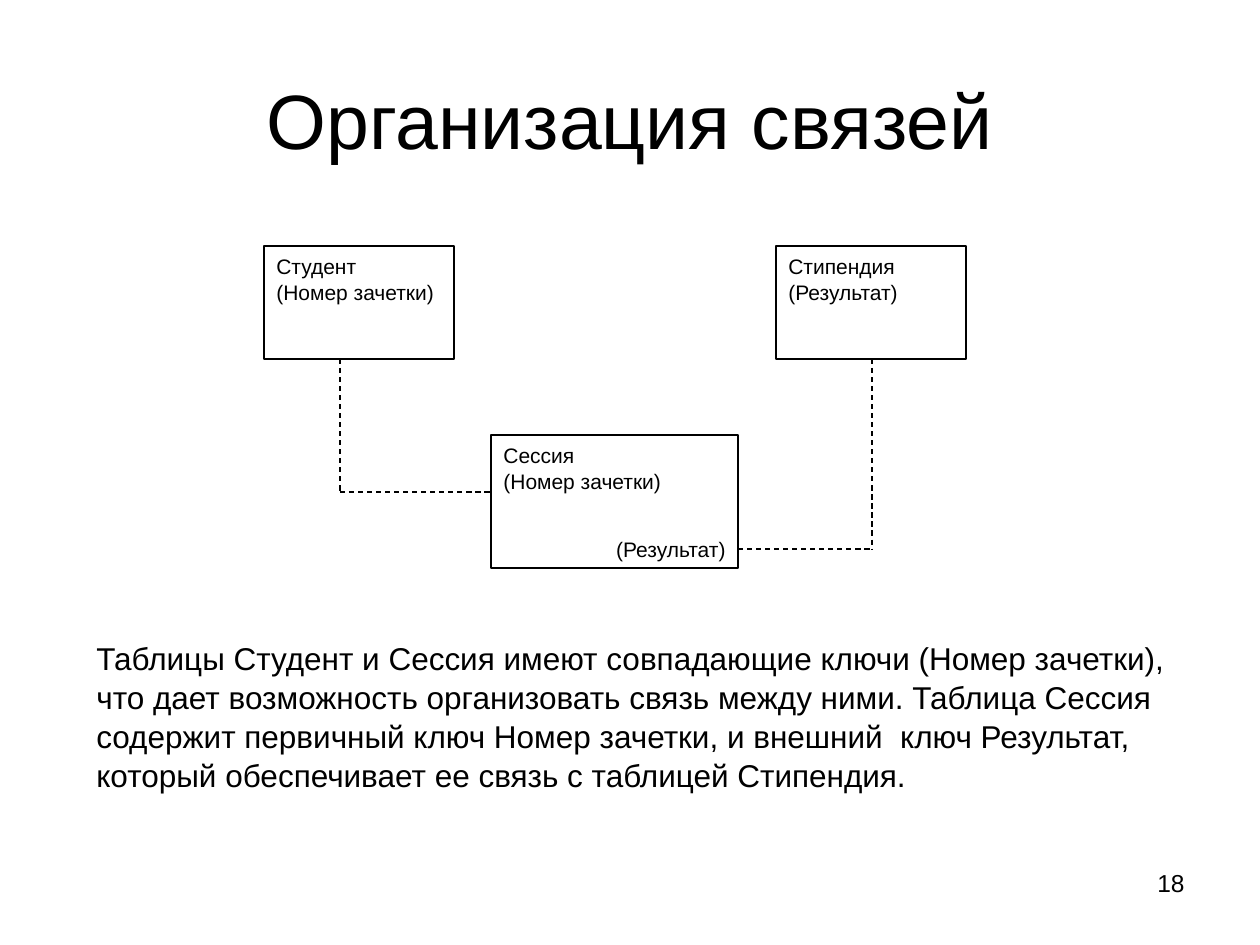
"""Slide showing how the student, session and scholarship tables are linked."""
from lxml import etree
from pptx import Presentation, util as u
from pptx.dml.color import RGBColor
from pptx.enum import dml, shapes, text

COLORS = {"ink": "000000", "paper": "FFFFFF"}
SCALE = u.Inches(1) / 126
LEFT, CENTER, RIGHT = text.PP_ALIGN.LEFT, text.PP_ALIGN.CENTER, text.PP_ALIGN.RIGHT


def emu(*lengths):
    return [u.Emu(round(length * SCALE)) for length in lengths]


def write(shape, lines, size, anchor=text.MSO_ANCHOR.TOP):
    frame = shape.text_frame
    margin_x, margin_y = u.Inches(0.1), u.Inches(0.05)
    frame_format = {"word_wrap": True, "auto_size": text.MSO_AUTO_SIZE.NONE,
                    "vertical_anchor": anchor, "margin_left": margin_x,
                    "margin_right": margin_x, "margin_top": margin_y,
                    "margin_bottom": margin_y}
    for name, value in frame_format.items():
        setattr(frame, name, value)
    for index, (words, alignment, space) in enumerate(lines):
        paragraph = frame.add_paragraph() if index else frame.paragraphs[0]
        paragraph_format = {"text": words, "alignment": alignment,
                            "space_before": u.Pt(space), "line_spacing": 1.04}
        for name, value in paragraph_format.items():
            setattr(paragraph, name, value)
        for name, value in {"name": "Arial", "size": u.Pt(size), "bold": False}.items():
            setattr(paragraph.font, name, value)
        paragraph.font.color.rgb = RGBColor.from_string(COLORS["ink"])


presentation = Presentation()
presentation.slide_width, presentation.slide_height = emu(1260, 945)
slide = presentation.slides.add_slide(presentation.slide_layouts[5])
slide.background.fill.solid()
slide.background.fill.fore_color.rgb = RGBColor.from_string(COLORS["paper"])

title = slide.shapes.title
title.left, title.top, title.width, title.height = emu(63, 38, 1134, 157)
write(title, [("Организация связей", CENTER, 0)], 44, text.MSO_ANCHOR.MIDDLE)

tables = [
    ((264, 246, 190, 113), [("Студент", LEFT, 0), ("(Номер зачетки)", LEFT, 0)]),
    ((776, 246, 190, 113), [("Стипендия", LEFT, 0), ("(Результат)", LEFT, 0)]),
    ((491, 435, 247, 133), [("Сессия", LEFT, 0), ("(Номер зачетки)", LEFT, 0),
                            ("(Результат)", RIGHT, 24)]),
]
for bounds, lines in tables:
    table_box = slide.shapes.add_shape(
        shapes.MSO_SHAPE.FLOWCHART_PROCESS, *emu(*bounds))
    table_box.shadow.inherit = False
    table_box.fill.solid()
    table_box.fill.fore_color.rgb = RGBColor.from_string(COLORS["paper"])
    table_box.line.color.rgb = RGBColor.from_string(COLORS["ink"])
    table_box.line.width = u.Pt(0.75)
    write(table_box, lines, 12)

links = [(340, 359, 340, 492), (340, 492, 491, 492),
         (872, 359, 872, 549), (738, 549, 872, 549)]
for ends in links:
    link = slide.shapes.add_connector(shapes.MSO_CONNECTOR.STRAIGHT, *emu(*ends))
    link.line.color.rgb = RGBColor.from_string(COLORS["ink"])
    link.line.width = u.Pt(0.75)
    link.line.dash_style = dml.MSO_LINE.DASH
    properties = link.element.spPr
    etree.SubElement(properties, f"{{{properties.nsmap['a']}}}effectLst")

explanation = (
    "Таблицы Студент и Сессия имеют совпадающие ключи (Номер зачетки), "
    "что дает возможность организовать связь между ними. Таблица Сессия "
    "содержит первичный ключ Номер зачетки, и внешний  ключ Результат, "
    "который обеспечивает ее связь с таблицей Стипендия."
)
notes = [((84, 631, 1101, 164), explanation, LEFT, 18),
         ((903, 861, 294, 66), "18", RIGHT, 14)]
for bounds, words, alignment, size in notes:
    write(slide.shapes.add_textbox(*emu(*bounds)), [(words, alignment, 0)], size)

presentation.save("out.pptx")
